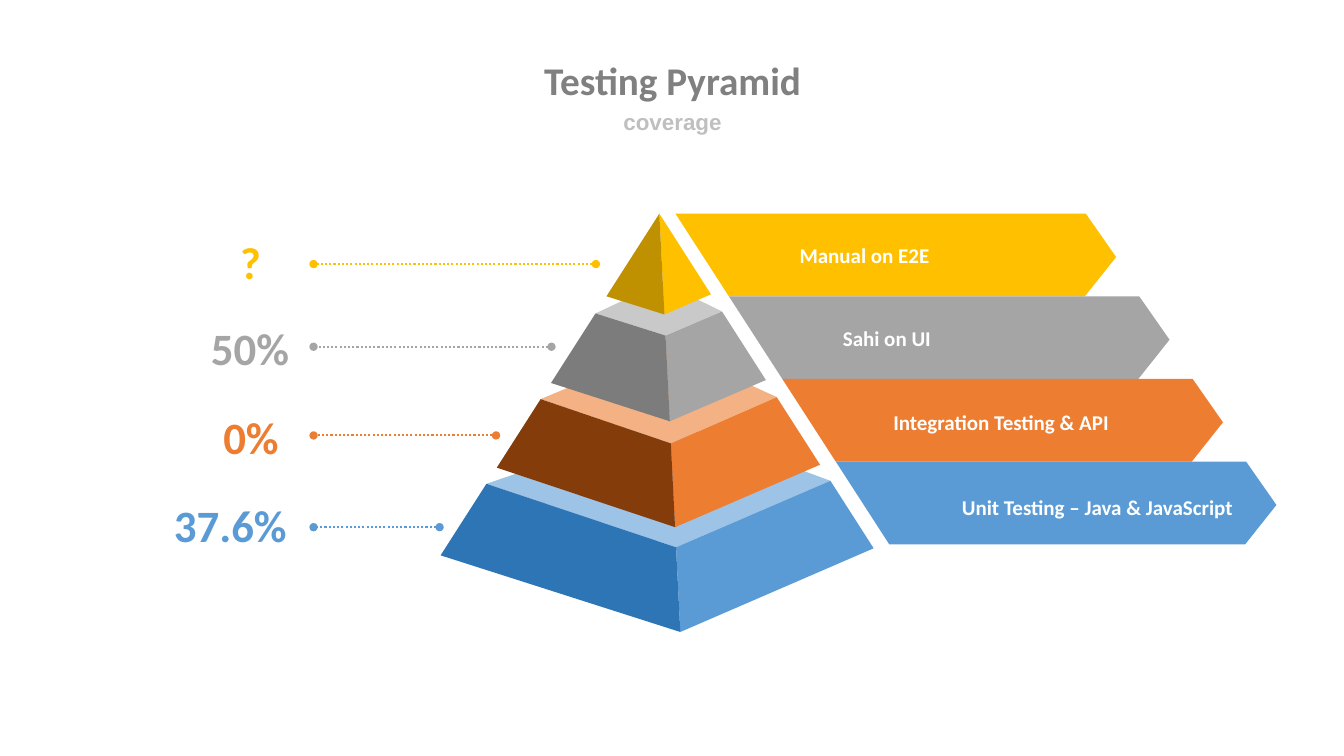
from dataclasses import dataclass

from lxml import etree
from pptx import Presentation, util as u
from pptx.dml.color import RGBColor
from pptx.enum import dml, shapes, text
from pptx.oxml.ns import qn

COLUMNS, ROWS = 13.33, 7.5
CELL = u.Inches(1)

APEX = (6.54, 2.12)
LEFT_SLOPE, FRONT_SLOPE, RIGHT_SLOPE = -0.64, 0.05, 0.64

BAND_HEIGHT, BAND_LEAN = 0.82, 0.53
BAND_LEFT, BAND_TOP = 6.7, 2.12
BAND_OUTLINE = [(0, 0), (4.07, 0), (4.37, 0.43), (4.06, 0.82), (0.53, 0.82)]
LEADER_START = 3.11


@dataclass(frozen=True)
class Theme:
    font: str = "Calibri"
    subtitle_font: str = "Arial"
    title: str = "808080"
    subtitle: str = "BFBFBF"
    label: str = "FFFFFF"
    title_size: int = 28
    subtitle_size: int = 16
    label_size: int = 15
    value_size: int = 32


@dataclass(frozen=True)
class Tier:
    """Heights of the top and bottom corners run left, front, right."""
    color: str
    shade: str
    lid: str
    top: tuple
    bottom: tuple
    back: tuple
    label: str
    label_at: tuple
    value: str
    value_box: tuple
    leader_end: tuple


THEME = Theme()
TIERS = [
    Tier("FFC000", "BF9000", "", (2.12, 2.12, 2.12), (2.94, 3.12, 2.92), (),
         "Manual on E2E", (7.8, 2.34), "?", (2.38, 2.33, 0.21, 0.54), (5.91, 2.62)),
    Tier("A5A5A5", "7C7C7C", "C9C9C9", (3.11, 3.33, 3.09), (3.8, 4.18, 3.77), (6.57, 2.8),
         "Sahi on UI", (8.23, 3.16), "50%", (2.09, 3.18, 0.78, 0.54), (5.47, 3.44)),
    Tier("ED7D31", "843C0B", "F4B183", (3.96, 4.4, 3.94), (4.64, 5.23, 4.61), (6.61, 3.44),
         "Integration Testing & API", (8.73, 3.99), "0%", (2.21, 4.06, 0.56, 0.54), (4.92, 4.32)),
    Tier("5B9BD5", "2E75B6", "9DC3E6", (4.8, 5.43, 4.77), (5.51, 6.27, 5.44), (6.64, 4.18),
         "Unit Testing – Java & JavaScript", (9.41, 4.84), "37.6%", (1.72, 4.93, 1.13, 0.54),
         (4.36, 5.23)),
]


def grid(*cells):
    return [u.Emu(round(cell * CELL)) for cell in cells]


def add_polygon(parent, points, color):
    start, *others = [grid(*point) for point in points]
    builder = parent.build_freeform(*start)
    builder.add_line_segments(others, close=True)
    shape = builder.convert_to_shape()
    shape.shadow.inherit = False
    shape.fill.solid()
    shape.fill.fore_color.rgb = RGBColor.from_string(color)
    shape.line.fill.background()


def add_text(slide, wording, box, size, color, font=THEME.font, centred=True,
             line_spacing=None, grow=False):
    """Centred text has no insets and does not wrap; other text is inset and wraps."""
    shape = slide.shapes.add_textbox(*grid(*box))
    frame = shape.text_frame
    frame.word_wrap = not centred
    frame.auto_size = text.MSO_AUTO_SIZE.SHAPE_TO_FIT_TEXT if grow else text.MSO_AUTO_SIZE.NONE
    frame.vertical_anchor = text.MSO_ANCHOR.MIDDLE if centred else text.MSO_ANCHOR.TOP
    side, edge = (0, 0) if centred else (0.13, 0.07)
    frame.margin_left, frame.margin_right = grid(side, side)
    frame.margin_top, frame.margin_bottom = grid(edge, edge)
    paragraph = frame.paragraphs[0]
    paragraph.alignment = text.PP_ALIGN.CENTER if centred else text.PP_ALIGN.LEFT
    if line_spacing:
        paragraph.line_spacing = line_spacing
    run = paragraph.add_run()
    run.text = wording
    run.font.name = font
    run.font.size = u.Pt(size)
    run.font.bold = True
    run.font.color.rgb = RGBColor.from_string(color)


def add_leader(slide, tier):
    """Dotted line with a round dot at each end."""
    end_x, y = tier.leader_end
    line = slide.shapes.add_connector(shapes.MSO_CONNECTOR.STRAIGHT,
                                      *grid(end_x, y, LEADER_START, y))
    line.line.color.rgb = RGBColor.from_string(tier.color)
    line.line.width = u.Pt(1.5)
    line.line.dash_style = dml.MSO_LINE.ROUND_DOT
    outline = line.line._get_or_add_ln()
    for end in ("a:headEnd", "a:tailEnd"):
        etree.SubElement(outline, qn(end), type="oval")
    etree.SubElement(line._element.spPr, qn("a:effectLst"))


def add_band(slide, index, tier):
    left = BAND_LEFT + index * BAND_LEAN
    top = BAND_TOP + index * BAND_HEIGHT
    add_polygon(slide.shapes, [(left + x, top + y) for x, y in BAND_OUTLINE], tier.color)


def corners(heights):
    """Points where the three edges from the apex reach the given heights."""
    slopes = (LEFT_SLOPE, FRONT_SLOPE, RIGHT_SLOPE)
    return [(APEX[0] + slope * (y - APEX[1]), y) for slope, y in zip(slopes, heights)]


def add_tier(slide, tier):
    group = slide.shapes.add_group_shape()
    left, front, right = corners(tier.top)
    low_left, low_front, low_right = corners(tier.bottom)
    if tier.lid:
        add_polygon(group.shapes, [tier.back, right, front, left], tier.lid)
    add_polygon(group.shapes, [front, right, low_right, low_front], tier.color)
    add_polygon(group.shapes, [left, front, low_front, low_left], tier.shade)


def main():
    presentation = Presentation()
    presentation.slide_width, presentation.slide_height = grid(COLUMNS, ROWS)
    slide = presentation.slides.add_slide(presentation.slide_layouts[6])

    add_text(slide, "Testing Pyramid", (2.56, 0.56, 8.22, 0.52), THEME.title_size,
             THEME.title, line_spacing=0.9)
    add_text(slide, "coverage", (3.67, 1.08, 6, 0.29), THEME.subtitle_size,
             THEME.subtitle, THEME.subtitle_font, line_spacing=0.9)
    for index, tier in enumerate(TIERS):
        add_band(slide, index, tier)
    for tier in reversed(TIERS):
        add_tier(slide, tier)
    for tier in TIERS:
        add_text(slide, tier.label, (*tier.label_at, 3.1, 0.39), THEME.label_size,
                 THEME.label, centred=False, grow=True)
        add_text(slide, tier.value, tier.value_box, THEME.value_size, tier.color, grow=True)
        add_leader(slide, tier)
    presentation.save("out.pptx")


if __name__ == "__main__":
    main()
